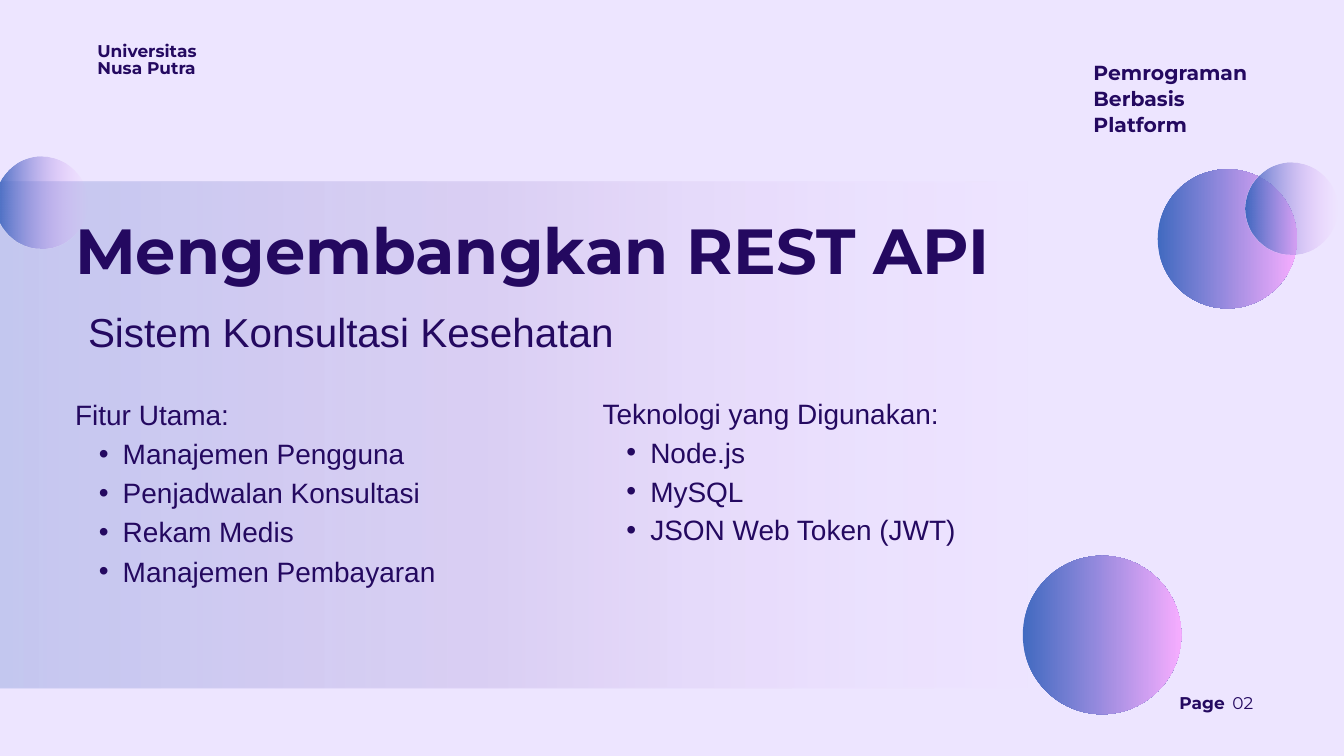
from dataclasses import dataclass

from lxml import etree
from pptx import Presentation
from pptx.dml.color import RGBColor
from pptx.enum.shapes import MSO_SHAPE
from pptx.oxml.ns import qn
from pptx.util import Cm, Pt

RECTANGLE = MSO_SHAPE.RECTANGLE
OVAL = MSO_SHAPE.OVAL
BLANK_LAYOUT = 6


@dataclass(frozen=True)
class Theme:
    background: str = "EDE5FF"
    ink: str = "240960"
    blue: str = "3C67BF"
    violet: str = "6B4CAF"
    pink: str = "F7ACFF"
    heading_font: str = "Montserrat"
    body_font: str = "Arial"
    title_size: float = 68.3
    subtitle_size: float = 43.3
    body_size: float = 30
    course_size: float = 21.8
    small_size: float = 18.2


THEME = Theme()


@dataclass(frozen=True)
class Stop:
    """Gradient stop; position and opacity in percent."""
    position: int
    color: str
    opacity: int


@dataclass(frozen=True)
class Box:
    """Place on the slide in centimetres."""
    left: float
    top: float
    width: float
    height: float


@dataclass(frozen=True)
class Circle:
    left: float
    top: float
    diameter: float
    stops: tuple[Stop, ...]


@dataclass(frozen=True)
class Label:
    box: Box
    text: str
    size: float
    line_pt: float
    font: str = THEME.heading_font
    bold: bool = False
    bullets: tuple[str, ...] = ()


PANEL = Box(-0.18, 6.88, 39.32, 19.15)
PANEL_STOPS = (Stop(0, THEME.blue, 23), Stop(50, THEME.violet, 13), Stop(100, THEME.pink, 0))
SOLID = (Stop(0, THEME.blue, 96), Stop(100, THEME.pink, 96))
FADING = (Stop(0, THEME.blue, 96), Stop(100, THEME.pink, 0))

CIRCLES = (
    Circle(43.76, 6.4, 5.26, SOLID),
    Circle(-0.18, 5.92, 3.48, FADING),
    Circle(38.66, 21.01, 5.99, SOLID),
    Circle(47.07, 6.15, 3.48, FADING),
)

LABELS = (
    Label(Box(2.84, 8.03, 36.3, 2.82), "Mengembangkan REST API",
          THEME.title_size, 80.6, bold=True),
    Label(Box(3.33, 11.73, 28.73, 1.75), "Sistem Konsultasi Kesehatan",
          THEME.subtitle_size, 49, THEME.body_font),
    Label(Box(44.58, 26.31, 2, 0.68), "Page", THEME.small_size, 18.6, bold=True),
    Label(Box(46.58, 26.31, 1, 0.68), "02", THEME.small_size, 18.6),
    Label(Box(3.68, 1.63, 3.94, 1.32), "Universitas Nusa Putra",
          THEME.small_size, 18.6, bold=True),
    Label(Box(41.33, 2.21, 6.6, 2.9), "Pemrograman Berbasis Platform",
          THEME.course_size, 27.9, bold=True),
    Label(Box(2.84, 14.81, 27.81, 9.96), "Fitur Utama:",
          THEME.body_size, 42, THEME.body_font,
          bullets=("Manajemen Pengguna", "Penjadwalan Konsultasi",
                   "Rekam Medis", "Manajemen Pembayaran")),
    Label(Box(22.78, 14.81, 15.77, 5.74), "Teknologi yang Digunakan:",
          THEME.body_size, 41.4, THEME.body_font,
          bullets=("Node.js", "MySQL", "JSON Web Token (JWT)")),
)


def place(box: Box) -> tuple[Cm, Cm, Cm, Cm]:
    return Cm(box.left), Cm(box.top), Cm(box.width), Cm(box.height)


def add_gradient_shape(slide, kind: MSO_SHAPE, box: Box, stops: tuple[Stop, ...]) -> None:
    shape = slide.shapes.add_shape(kind, *place(box))
    shape.shadow.inherit = False
    shape.line.fill.background()
    shape.fill.gradient()
    shape.fill.gradient_angle = 0
    stop_list = shape.element.spPr.find(qn("a:gradFill")).find(qn("a:gsLst"))
    for default_stop in list(stop_list):
        stop_list.remove(default_stop)
    for stop in stops:
        entry = etree.SubElement(stop_list, qn("a:gs"), pos=str(stop.position * 1000))
        color = etree.SubElement(entry, qn("a:srgbClr"), val=stop.color)
        etree.SubElement(color, qn("a:alpha"), val=str(stop.opacity * 1000))


def add_bullet(paragraph) -> None:
    properties = paragraph._p.get_or_add_pPr()
    properties.set("marL", str(Cm(1.8)))
    properties.set("indent", str(Cm(-0.9)))
    etree.SubElement(properties, qn("a:buFont"), typeface=THEME.body_font)
    etree.SubElement(properties, qn("a:buChar"), char="•")


def add_label(slide, label: Label) -> None:
    frame = slide.shapes.add_textbox(*place(label.box)).text_frame
    frame.word_wrap = True
    frame.margin_left = frame.margin_top = frame.margin_right = frame.margin_bottom = 0
    for index, line in enumerate((label.text, *label.bullets)):
        paragraph = frame.add_paragraph() if index else frame.paragraphs[0]
        paragraph.text = line
        paragraph.line_spacing = Pt(label.line_pt)
        if index:
            paragraph.level = 1
            add_bullet(paragraph)
        font = paragraph.font
        font.name = label.font
        font.size = Pt(label.size)
        font.bold = label.bold
        font.color.rgb = RGBColor.from_string(THEME.ink)


def main() -> None:
    presentation = Presentation()
    presentation.slide_width = Cm(50.8)
    presentation.slide_height = Cm(28.58)
    slide = presentation.slides.add_slide(presentation.slide_layouts[BLANK_LAYOUT])
    slide.background.fill.solid()
    slide.background.fill.fore_color.rgb = RGBColor.from_string(THEME.background)

    add_gradient_shape(slide, RECTANGLE, PANEL, PANEL_STOPS)
    for circle in CIRCLES:
        box = Box(circle.left, circle.top, circle.diameter, circle.diameter)
        add_gradient_shape(slide, OVAL, box, circle.stops)
    for label in LABELS:
        add_label(slide, label)
    presentation.save("out.pptx")


if __name__ == "__main__":
    main()
